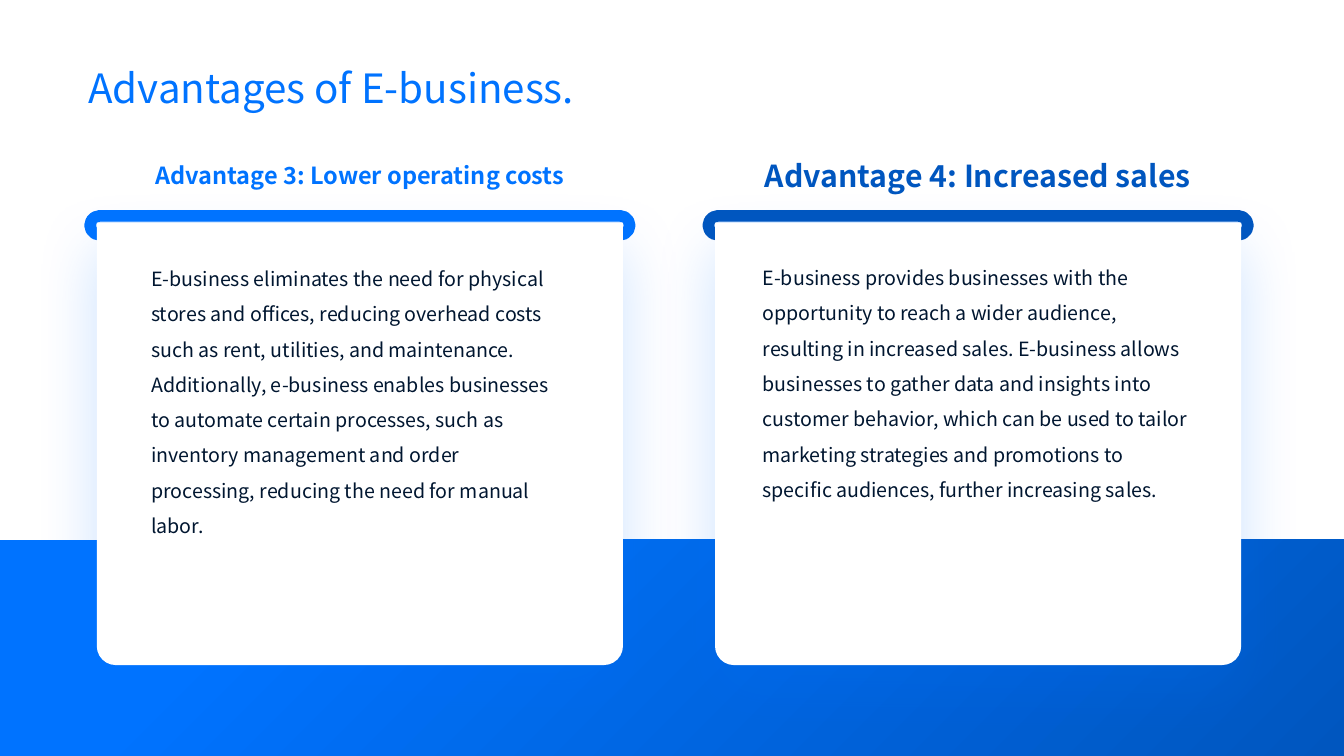
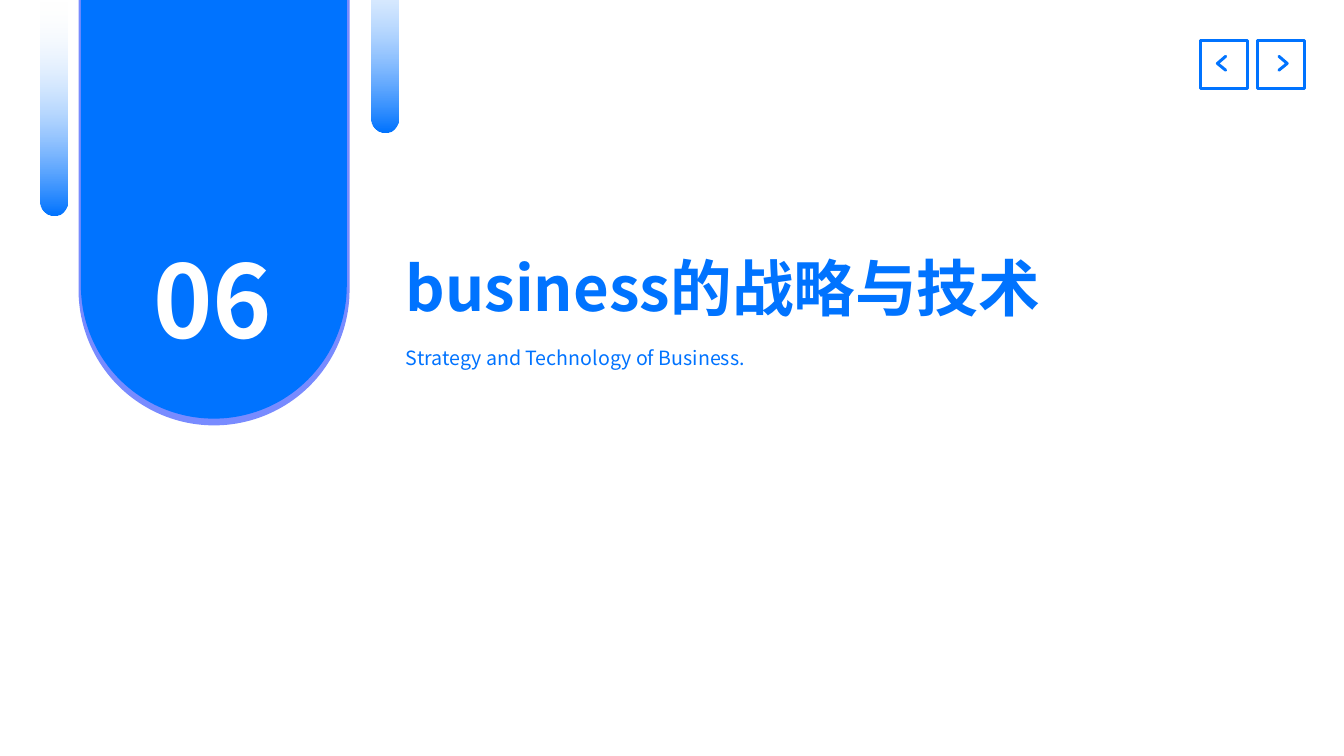
import lxml.etree
import pptx
import pptx.dml.color
import pptx.enum.shapes
import pptx.enum.text
import pptx.oxml.ns
import pptx.util

Cm, Pt = pptx.util.Cm, pptx.util.Pt
SHAPE = pptx.enum.shapes.MSO_SHAPE
ALIGN = pptx.enum.text.PP_ALIGN
ANCHOR = pptx.enum.text.MSO_ANCHOR
qn = pptx.oxml.ns.qn

# Content
ADVANTAGES_TITLE = "Advantages of E-business."
ADVANTAGES = [
    {"heading": "Advantage 3: Lower operating costs", "size": 16.8, "color": "blue",
     "body": "E-business eliminates the need for physical stores and offices, reducing "
             "overhead costs such as rent, utilities, and maintenance. Additionally, "
             "e-business enables businesses to automate certain processes, such as "
             "inventory management and order processing, reducing the need for manual labor.",
     "body_inset": 1.12, "body_top": 6.3, "body_width": 11},
    {"heading": "Advantage 4: Increased sales", "size": 21.6, "color": "deep",
     "body": "E-business provides businesses with the opportunity to reach a wider audience, "
             "resulting in increased sales. E-business allows businesses to gather data and "
             "insights into customer behavior, which can be used to tailor marketing "
             "strategies and promotions to specific audiences, further increasing sales.",
     "body_inset": 0.95, "body_top": 6.28, "body_width": 11.35},
]
SECTION = {"number": "06", "title": "business的战略与技术",
           "subtitle": "Strategy and Technology of Business."}

# Shared style
COLORS = {"blue": "0073FF", "deep": "0056BF", "pale": "CCE3FF", "ice": "F2F8FF",
          "violet": "788BFF", "ink": "001630", "white": "FFFFFF"}
FONT = "Noto Sans CJK SC"
WIDTH, HEIGHT = 33.87, 19.05
DEFAULT_INSETS = (0.25, 0.13)
SECTION_INSETS = (0.2, 0.1)
BUTTON_LINE = 2.13


def rgb(color):
    return pptx.dml.color.RGBColor.from_string(COLORS[color])


def outline(shape, color, weight):
    shape.line.color.rgb = rgb(color)
    shape.line.width = Pt(weight)


def add_block(slide, kind, box, fill=None, line=None, adjust=()):
    block = slide.shapes.add_shape(kind, *map(Cm, box))
    block.shadow.inherit = False
    if fill:
        block.fill.solid()
        block.fill.fore_color.rgb = rgb(fill)
    else:
        block.fill.background()
    if line:
        outline(block, *line)
    else:
        block.line.fill.background()
    for index, value in enumerate(adjust):
        block.adjustments[index] = value
    return block


def add_gradient(block, stops, angle):
    block.fill.gradient()
    block.fill.gradient_angle = angle
    for stop, (position, color) in zip(block.fill.gradient_stops, stops):
        stop.position = position
        stop.color.rgb = rgb(color)


def add_glow_below(block):
    effects = block.element.spPr.find(qn("a:effectLst"))
    shadow = lxml.etree.SubElement(
        effects, qn("a:outerShdw"), blurRad=str(Pt(45)), dist=str(Pt(19)),
        dir="5400000", algn="t", rotWithShape="0")
    tint = lxml.etree.SubElement(shadow, qn("a:srgbClr"), val=COLORS["blue"])
    lxml.etree.SubElement(tint, qn("a:alpha"), val="20000")


def add_text(slide, box, text, size, color, bold=False, align=ALIGN.LEFT,
             anchor=ANCHOR.MIDDLE, spacing=1.0, insets=DEFAULT_INSETS):
    frame = slide.shapes.add_textbox(*map(Cm, box)).text_frame
    frame.word_wrap = True
    frame.vertical_anchor = anchor
    frame.margin_left = frame.margin_right = Cm(insets[0])
    frame.margin_top = frame.margin_bottom = Cm(insets[1])
    paragraph = frame.paragraphs[0]
    paragraph.alignment = align
    paragraph.line_spacing = spacing
    run = paragraph.add_run()
    run.text = text
    run.font.size = Pt(size)
    run.font.bold = bold
    run.font.color.rgb = rgb(color)
    run.font.name = FONT
    lxml.etree.SubElement(run.font._element, qn("a:ea"), typeface=FONT)


def build_advantages(slide):
    # Blue band along the bottom
    band_top = 13.6
    band = add_block(slide, SHAPE.RECTANGLE, (0, band_top, WIDTH, HEIGHT - band_top), "blue")
    add_gradient(band, [(0.19, "blue"), (1, "deep")], 315)

    # Cards hanging from coloured bars
    first_left, pitch, card_top, card_width = 2.44, 15.58, 5.61, 13.26
    for index, advantage in enumerate(ADVANTAGES):
        left = first_left + index * pitch
        add_block(slide, SHAPE.ROUNDED_RECTANGLE,
                  (left - 0.17, card_top - 0.17, card_width + 0.34, 0.48),
                  "pale", (advantage["color"], 8.25), (0.5,))
        card = add_block(slide, SHAPE.ROUND_2_SAME_RECTANGLE,
                         (left, card_top, card_width, 11.15), "white", adjust=(0, 0.043))
        add_glow_below(card)
        add_text(slide, (left + advantage["body_inset"], advantage["body_top"],
                         advantage["body_width"], 9.58),
                 advantage["body"], 14, "ink", anchor=ANCHOR.TOP, spacing=1.5)
        add_text(slide, (left + 0.34, 3.78, 12.57, 1.27), advantage["heading"],
                 advantage["size"], advantage["color"], bold=True, align=ALIGN.CENTER)

    add_text(slide, (1.98, 1.32, 26.26, 1.63), ADVANTAGES_TITLE, 28.8, "blue", spacing=1.1)


def build_section(slide):
    # Previous and next buttons: left edge, then offsets of chevron ends and tip
    for left, ends, tip in [(30.25, 0.64, 0.43), (31.7, 0.53, 0.74)]:
        add_block(slide, SHAPE.RECTANGLE, (left, 1.02, 1.18, 1.2), line=("blue", BUTTON_LINE))
        start, *rest = [(Cm(left + x), Cm(y))
                        for x, y in [(ends, 1.42), (tip, 1.6), (ends, 1.77)]]
        builder = slide.shapes.build_freeform(*start)
        builder.add_line_segments(rest, close=False)
        chevron = builder.convert_to_shape()
        chevron.shadow.inherit = False
        chevron.fill.background()
        outline(chevron, "blue", BUTTON_LINE)
        chevron.line._get_or_add_ln().set("cap", "rnd")

    # Number tab with a violet rim
    for box, color in [((1.98, 0, 6.83, 10.72), "violet"), ((2.04, 0, 6.7, 10.55), "blue")]:
        add_block(slide, SHAPE.ROUND_2_SAME_RECTANGLE, box, color, adjust=(0, 0.5))

    # Bars that fade out towards the top
    for left, top in [(1.01, 0.03), (9.36, -2.06)]:
        bar = add_block(slide, SHAPE.ROUND_2_SAME_RECTANGLE, (left, top, 0.68, 5.4),
                        "blue", adjust=(0, 0.5))
        add_gradient(bar, [(0, "ice"), (1, "blue")], 270)
        faded = bar.element.spPr.find(".//" + qn("a:srgbClr"))
        lxml.etree.SubElement(faded, qn("a:alpha"), val="0")

    add_text(slide, (10.03, 6.1, 21.36, 2.24), SECTION["title"], 44, "blue",
             bold=True, insets=SECTION_INSETS)
    add_text(slide, (10.03, 8.51, 20.22, 1.02), SECTION["subtitle"], 14, "blue",
             insets=SECTION_INSETS)
    add_text(slide, (2.13, 6.2, 6.45, 3.33), SECTION["number"], 72, "white", bold=True,
             align=ALIGN.CENTER, anchor=ANCHOR.TOP, spacing=0.9)


def main():
    deck = pptx.Presentation()
    deck.slide_width, deck.slide_height = Cm(WIDTH), Cm(HEIGHT)
    blank = deck.slide_layouts[6]
    for build in (build_advantages, build_section):
        build(deck.slides.add_slide(blank))
    deck.save("out.pptx")


if __name__ == "__main__":
    main()
